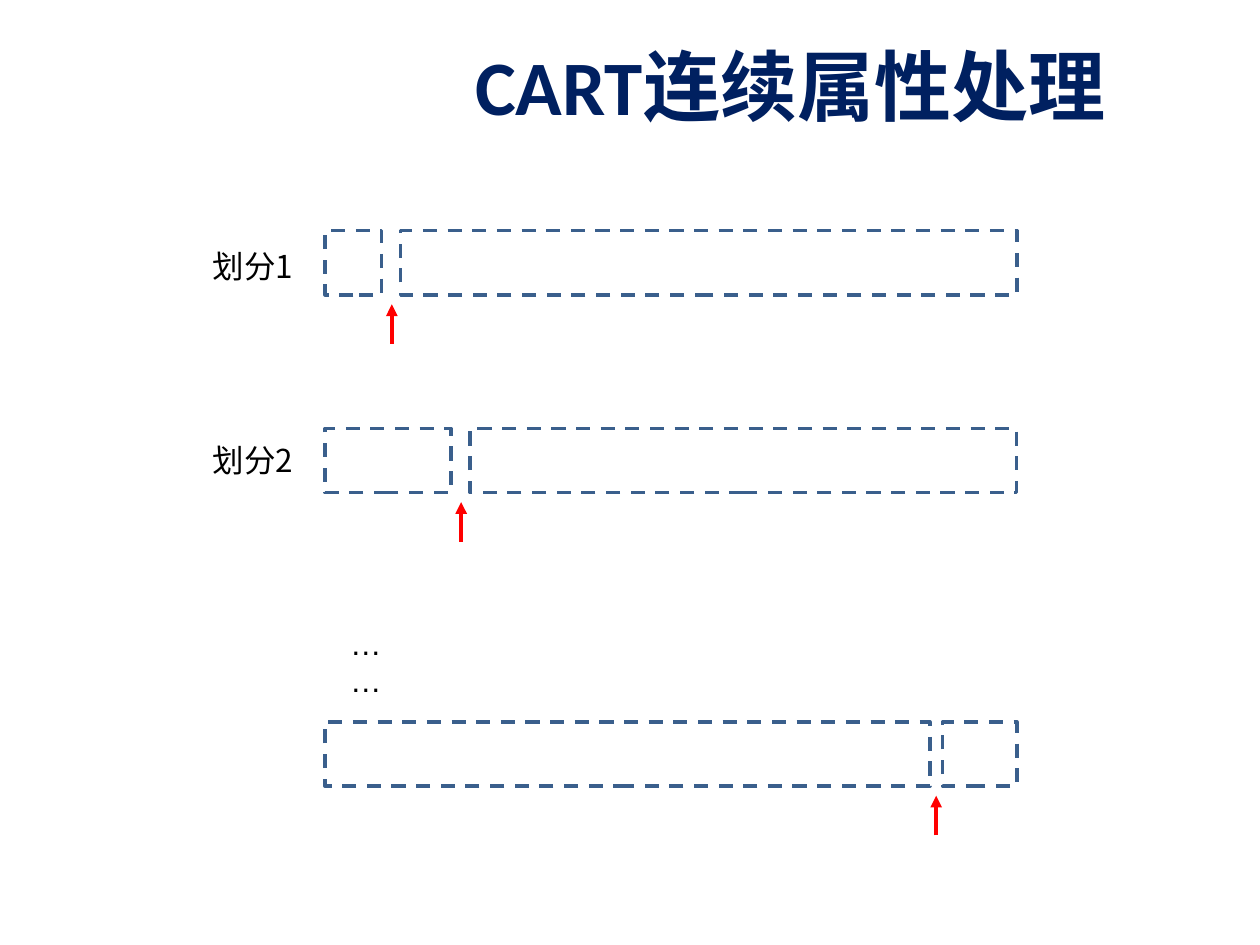
import pptx
import pptx.dml.color
import pptx.enum.dml
import pptx.enum.shapes
import pptx.enum.text
import pptx.oxml.ns
import pptx.util
from lxml import etree

COLUMNS, ROWS = 100, 75
COLORS = {"title": "002060", "label": "000000", "segment": "3A5F8C", "split": "FF0000"}
CJK_FONT = "Noto Sans CJK SC"

BAR_LEFT, BAR_RIGHT, BAR_HEIGHT = 25.8, 80.7, 5.1
ARROW_GAP, ARROW_LENGTH = 0.75, 3.15
LABEL_LEFT, LABEL_WIDTH, LABEL_HEIGHT = 15.9, 8.5, 4

# Row of the bar, end of its left part, start of its right part, column of the split arrow
PARTITIONS = [
    (18.3, 30.3, 31.8, 31.1),
    (34.0, 35.8, 37.3, 36.6),
    (57.3, 73.8, 74.8, 74.3),
]
PARTITION_LABELS = [("划分1", 19.1), ("划分2", 34.5)]


def rgb(name):
    return pptx.dml.color.RGBColor.from_string(COLORS[name])


def add_element(parent, tag, **attributes):
    return etree.SubElement(parent, pptx.oxml.ns.qn(tag), **attributes)


class SlideBuilder:
    """Draws on one slide, with lengths in grid columns and rows."""

    def __init__(self, deck):
        self.column = deck.slide_width / COLUMNS
        self.row = deck.slide_height / ROWS
        self.slide = deck.slides.add_slide(deck.slide_layouts[5])
        self.shapes = self.slide.shapes

    def box(self, left, top, width, height):
        return (round(left * self.column), round(top * self.row),
                round(width * self.column), round(height * self.row))

    def add_text(self, frame, text, size, font, color, bold=False):
        paragraph = frame.paragraphs[0]
        paragraph.alignment = pptx.enum.text.PP_ALIGN.LEFT
        run = paragraph.add_run()
        run.text = text
        run.font.size = pptx.util.Pt(size)
        run.font.bold = bold
        run.font.color.rgb = rgb(color)
        run.font.name = font
        add_element(run.font._element, "a:ea", typeface=CJK_FONT)

    def title(self, text, *place):
        heading = self.shapes.title
        heading.left, heading.top, heading.width, heading.height = self.box(*place)
        heading.text_frame.vertical_anchor = pptx.enum.text.MSO_ANCHOR.MIDDLE
        self.add_text(heading.text_frame, text, 44, "Calibri", "title", bold=True)

    def label(self, text, *place, font=CJK_FONT):
        frame = self.shapes.add_textbox(*self.box(*place)).text_frame
        frame.word_wrap = True
        self.add_text(frame, text, 18, font, "label")

    def segment(self, left, right, top):
        outline = self.shapes.add_shape(
            pptx.enum.shapes.MSO_SHAPE.RECTANGLE,
            *self.box(left, top, right - left, BAR_HEIGHT))
        outline.shadow.inherit = False
        outline.fill.background()
        outline.line.color.rgb = rgb("segment")
        outline.line.width = pptx.util.Pt(2)
        outline.line.dash_style = pptx.enum.dml.MSO_LINE.DASH

    def split_arrow(self, column, tip):
        x, top, _, length = self.box(column, tip, 0, ARROW_LENGTH)
        arrow = self.shapes.add_connector(
            pptx.enum.shapes.MSO_CONNECTOR.STRAIGHT, x, top + length, x, top)
        arrow.line.color.rgb = rgb("split")
        arrow.line.width = pptx.util.Pt(2.25)
        add_element(arrow.line._get_or_add_ln(), "a:tailEnd", type="triangle")
        add_element(arrow._element.spPr, "a:effectLst")

    def partition(self, top, left_end, right_start, split):
        self.segment(BAR_LEFT, left_end, top)
        self.segment(right_start, BAR_RIGHT, top)
        self.split_arrow(split, top + BAR_HEIGHT + ARROW_GAP)


def main():
    deck = pptx.Presentation()
    deck.slide_width = pptx.util.Inches(10)
    deck.slide_height = pptx.util.Inches(7.5)

    builder = SlideBuilder(deck)
    builder.title("CART连续属性处理", 36.7, 1.7, 56.7, 10)
    for text, top in PARTITION_LABELS:
        builder.label(text, LABEL_LEFT, top, LABEL_WIDTH, LABEL_HEIGHT)
    for partition in PARTITIONS:
        builder.partition(*partition)
    builder.label("……", 26.8, 49, 5.5, LABEL_HEIGHT, font="Arial")
    deck.save("out.pptx")


if __name__ == "__main__":
    main()
